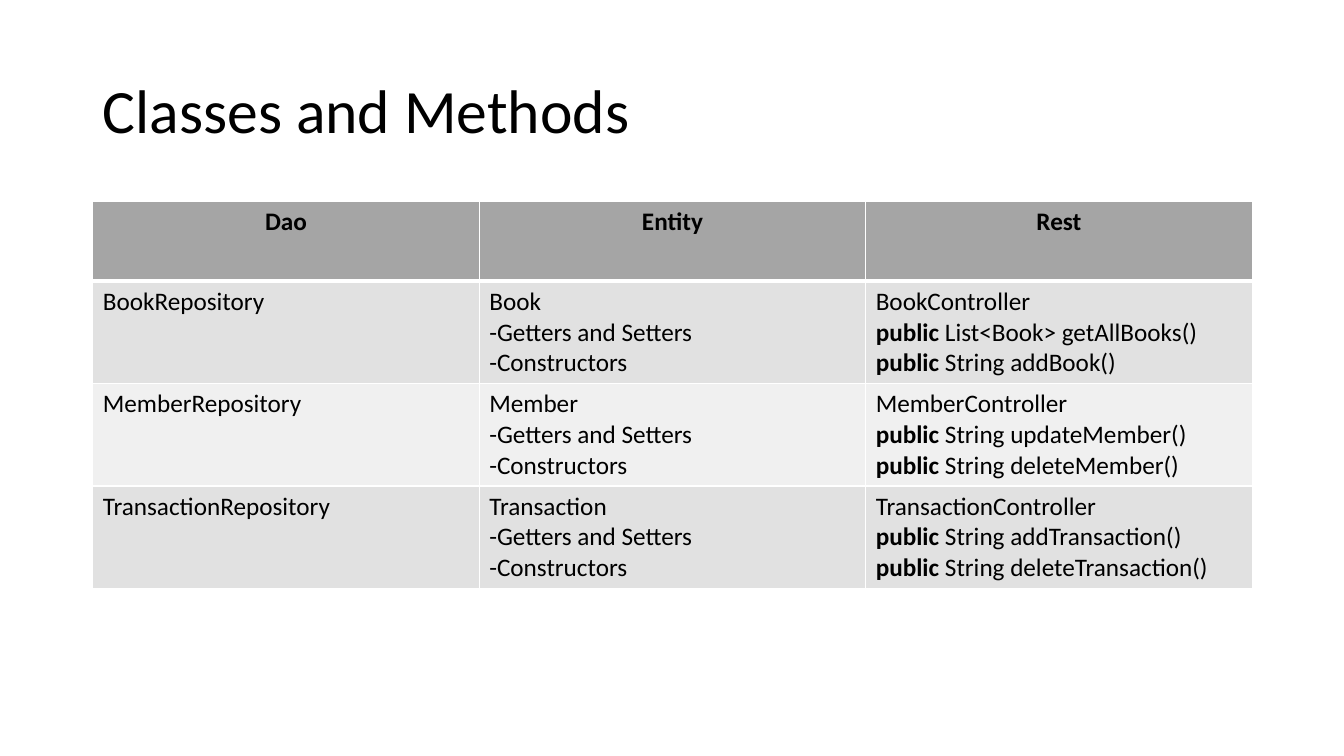
from dataclasses import dataclass

from lxml.etree import SubElement
from pptx import Presentation
from pptx.dml.color import RGBColor as Color
from pptx.enum.text import MSO_ANCHOR as Anchor, PP_ALIGN as Align
from pptx.oxml.ns import qn
from pptx.util import Inches, Pt


@dataclass(frozen=True)
class Theme:
    font: str = "Calibri"
    ink: str = "000000"
    head: str = "A5A5A5"
    bands: tuple = ("E1E1E1", "F0F0F0")
    line: str = "FFFFFF"
    title: int = 44
    body: int = 18
    thin: int = 1
    thick: int = 3


HEADS = ("Dao", "Entity", "Rest")
KEY = "public"
# Entity name, then the methods of its controller
ROWS = (
    ("Book", "List<Book> getAllBooks()", "String addBook()"),
    ("Member", "String updateMember()", "String deleteMember()"),
    ("Transaction", "String addTransaction()", "String deleteTransaction()"),
)
LEFT, WIDTH = 0.92, 11.5


class Deck:
    def __init__(self, theme):
        self.theme = theme
        self.show = Presentation()
        self.show.slide_width = Inches(13.33)
        self.show.slide_height = Inches(7.5)
        self.slide = self.show.slides.add_slide(self.show.slide_layouts[5])

    def style(self, para, size, bold=False, align=Align.LEFT):
        para.alignment = align
        font = para.font
        font.name = self.theme.font
        font.size = Pt(size)
        font.bold = bold
        font.color.rgb = Color.from_string(self.theme.ink)

    def title(self, text):
        box = self.slide.shapes.title
        box.left, box.top = Inches(LEFT), Inches(0.4)
        box.width, box.height = Inches(WIDTH), Inches(1.45)
        frame = box.text_frame
        frame.text = text
        frame.vertical_anchor = Anchor.MIDDLE
        frame.paragraphs[0].line_spacing = 0.9
        self.style(frame.paragraphs[0], self.theme.title)

    def edge(self, cell, top, bottom):
        """Draw the four borders; top and bottom are widths in points."""
        props = cell._tc.get_or_add_tcPr()
        thin = self.theme.thin
        sides = (("L", thin), ("R", thin), ("T", top), ("B", bottom))
        for spot, (side, width) in enumerate(sides):
            line = SubElement(props, qn(f"a:ln{side}"), w=str(Pt(width)))
            fill = SubElement(line, qn("a:solidFill"))
            SubElement(fill, qn("a:srgbClr"), val=self.theme.line)
            props.insert(spot, line)  # borders come before the fill

    def cell(self, cell, lines, fill, bold=False, align=Align.LEFT):
        """Fill a cell with lines, setting a leading keyword in bold."""
        cell.fill.solid()
        cell.fill.fore_color.rgb = Color.from_string(fill)
        frame = cell.text_frame
        for spot, text in enumerate(lines):
            para = frame.add_paragraph() if spot else frame.paragraphs[0]
            self.style(para, self.theme.body, bold, align)
            if text.startswith(KEY):
                para.add_run().text = KEY
                para.runs[0].font.bold = True
            para.add_run().text = text.removeprefix(KEY)

    def table(self, heads, rows):
        theme = self.theme
        grid = self.slide.shapes.add_table(
            len(rows) + 1, len(heads),
            Inches(LEFT), Inches(2), Inches(WIDTH), Inches(3.79)).table
        grid.first_row = grid.horz_banding = False
        for spot, row in enumerate(grid.rows):
            row.height = Inches(1 if spot else 0.79)
        for col, head in enumerate(heads):
            cell = grid.cell(0, col)
            self.cell(cell, [head], theme.head, True, Align.CENTER)
            self.edge(cell, theme.thin, theme.thick)
        for spot, row in enumerate(rows):
            fill = theme.bands[spot % len(theme.bands)]
            for col, lines in enumerate(row):
                cell = grid.cell(spot + 1, col)
                self.cell(cell, lines, fill)
                self.edge(cell, theme.thin if spot else theme.thick, theme.thin)


def expand(name, *calls):
    """Return the three cells of one entity, each a list of lines."""
    return (
        [f"{name}Repository"],
        [name, "-Getters and Setters", "-Constructors"],
        [f"{name}Controller", *(f"{KEY} {call}" for call in calls)],
    )


def main():
    deck = Deck(Theme())
    deck.title("Classes and Methods")
    deck.table(HEADS, [expand(*row) for row in ROWS])
    deck.show.save("out.pptx")


if __name__ == "__main__":
    main()
